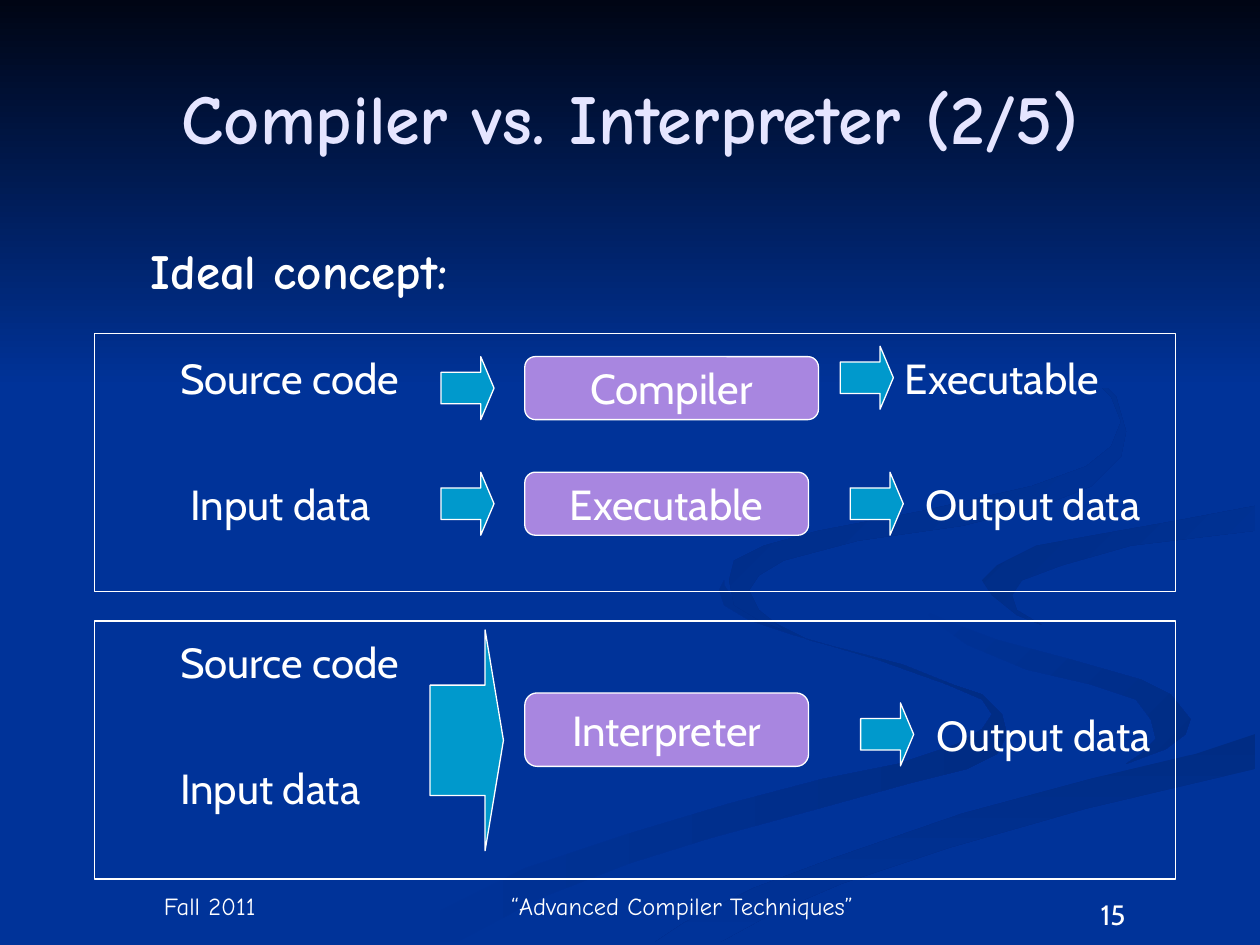
from pptx import Presentation
from pptx.dml.color import RGBColor
from pptx.enum.shapes import MSO_SHAPE
from pptx.enum.text import MSO_ANCHOR, PP_ALIGN
from pptx.util import Cm, Pt

LEFT, CENTER = PP_ALIGN.LEFT, PP_ALIGN.CENTER
TOP, MIDDLE, BOTTOM = MSO_ANCHOR.TOP, MSO_ANCHOR.MIDDLE, MSO_ANCHOR.BOTTOM
RECTANGLE = MSO_SHAPE.RECTANGLE
ROUNDED = MSO_SHAPE.ROUNDED_RECTANGLE
RIGHT_ARROW = MSO_SHAPE.RIGHT_ARROW

WHITE = RGBColor(0xFF, 0xFF, 0xFF)
LAVENDER = RGBColor(0xE5, 0xE5, 0xFF)
PURPLE = RGBColor(0xA8, 0x86, 0xE0)
CYAN = RGBColor(0x00, 0x99, 0xCC)
BLUE = RGBColor(0x00, 0x33, 0x99)
NIGHT = RGBColor(0x00, 0x05, 0x14)
SHADE = RGBColor(0x00, 0x2C, 0x84)

HAND_FONT, BODY_FONT = "Comic Neue", "Cabin"
TEXT_H = ARROW_H = 1.27
ARROW_W = 1.07

# Ribbon outlines in millimetres, each with its gradient colours and angle
RIBBONS = [
    (BLUE, SHADE, 0, [
        (198, 140), (192, 138), (182, 134), (163, 129), (153, 124), (148, 121),
        (146, 118), (146, 117), (145, 119), (146, 122), (151, 125), (160, 128),
        (177, 133), (191, 138), (198, 141), (200, 144), (198, 147), (193, 150),
        (181, 154), (166, 157), (147, 162), (127, 168), (106, 175), (86, 185),
        (76, 190), (92, 190), (109, 181), (127, 174), (143, 169), (165, 163),
        (183, 158), (195, 155), (201, 152), (203, 148), (202, 144)]),
    (BLUE, SHADE, 315, [
        (240, 145), (236, 140), (230, 137), (216, 133), (201, 129), (193, 126),
        (186, 123), (184, 118), (184, 120), (188, 125), (195, 130), (207, 135),
        (220, 138), (229, 141), (232, 145), (233, 149), (230, 152), (227, 154),
        (235, 151), (239, 148)]),
    (SHADE, BLUE, 270, [
        (132, 190), (128, 190), (145, 190), (156, 184), (170, 178), (191, 171),
        (219, 163), (253, 155), (253, 148), (241, 152), (220, 157), (194, 164),
        (168, 173), (152, 179), (138, 186)]),
    (SHADE, BLUE, 315, [
        (198, 117), (200, 120), (205, 124), (210, 126), (205, 123), (204, 120),
        (206, 117), (214, 114), (228, 110), (253, 107), (253, 102), (237, 105),
        (220, 108), (209, 110), (201, 114)]),
    (SHADE, BLUE, 315, [
        (173, 109), (194, 106), (210, 102), (220, 98), (226, 92), (227, 87),
        (225, 80), (219, 74), (209, 66), (194, 59), (210, 68), (218, 74),
        (224, 80), (226, 85), (224, 90), (219, 94), (208, 98), (186, 103),
        (165, 107), (154, 110), (148, 113), (147, 117), (148, 122), (153, 125),
        (158, 127), (153, 123), (151, 119), (153, 116), (158, 113)]),
]


def write(frame, text, size, font, color=WHITE, align=LEFT, anchor=TOP,
          bold=False, wrap=True):
    frame.word_wrap = wrap
    frame.vertical_anchor = anchor
    paragraph = frame.paragraphs[0]
    paragraph.alignment = align
    run = paragraph.add_run()
    run.text = text
    run.font.size = Pt(size)
    run.font.name = font
    run.font.bold = bold
    run.font.color.rgb = color


def add_text(slide, x, y, w, h, text, size=24, font=BODY_FONT, **style):
    label = slide.shapes.add_textbox(Cm(x), Cm(y), Cm(w), Cm(h))
    write(label.text_frame, text, size, font, **style)


def add_outlined(slide, kind, x, y, w, h, fill=None):
    shape = slide.shapes.add_shape(kind, Cm(x), Cm(y), Cm(w), Cm(h))
    shape.shadow.inherit = False
    if fill is None:
        shape.fill.background()
    else:
        shape.fill.solid()
        shape.fill.fore_color.rgb = fill
    shape.line.color.rgb = WHITE
    shape.line.width = Pt(0.75)
    return shape


def add_arrow(slide, x, y, w=ARROW_W, h=ARROW_H):
    arrow = add_outlined(slide, RIGHT_ARROW, x, y, w, h, CYAN)
    arrow.adjustments[1] = 0.25


def add_stage(slide, x, y, w, h, text):
    stage = add_outlined(slide, ROUNDED, x, y, w, h, PURPLE)
    write(stage.text_frame, text, 24, BODY_FONT, align=CENTER, anchor=MIDDLE,
          wrap=False)


def shade(shape, start, end, angle):
    shape.shadow.inherit = False
    shape.line.fill.background()
    shape.fill.gradient()
    shape.fill.gradient_angle = angle
    for stop, color in zip(shape.fill.gradient_stops, (start, end)):
        stop.color.rgb = color


def add_backdrop(slide, width, band_height):
    slide.background.fill.solid()
    slide.background.fill.fore_color.rgb = BLUE
    for start, end, angle, outline in RIBBONS:
        builder = slide.shapes.build_freeform(*outline[0], scale=Cm(0.1))
        builder.add_line_segments(outline[1:], close=True)
        shade(builder.convert_to_shape(), start, end, angle)
    band = slide.shapes.add_shape(RECTANGLE, 0, 0, width, Cm(band_height))
    shade(band, NIGHT, BLUE, 270)


def add_heading(slide, x, y, w, h):
    title = slide.shapes.title
    title.left, title.top, title.width, title.height = Cm(x), Cm(y), Cm(w), Cm(h)
    write(title.text_frame, "Compiler vs. Interpreter (2/5)", 40, HAND_FONT,
          LAVENDER, CENTER, MIDDLE, bold=True)
    # Bring the title in front of the backdrop
    slide.shapes._spTree.append(title._element)
    add_text(slide, x + 1.52, y + 3.96, 20, 1.4, "Ideal concept:", 28,
             HAND_FONT, bold=True)


def add_compiler_panel(slide, x, y, w, h):
    # Each row: offsets of input, stage, stage width, second arrow, output
    rows = [
        (0.25, "Source code", 1.48, 0.46, "Compiler", 5.92,
         15.04, 0.25, "Executable", 16.09),
        (2.79, "Input data", 1.69, 2.79, "Executable", 5.72,
         15.24, 2.79, "Output data", 16.51),
    ]
    for (text_y, source, source_x, stage_y, stage, stage_w,
         arrow_x, arrow_y, result, result_x) in rows:
        add_stage(slide, x + 8.68, y + stage_y, stage_w, TEXT_H, stage)
        add_text(slide, x + source_x, y + text_y, 5.5, TEXT_H, source)
        add_text(slide, x + result_x, y + text_y, 5.72, TEXT_H, result)
        add_arrow(slide, x + 6.99, y + stage_y)
        add_arrow(slide, x + arrow_x, y + arrow_y)
    add_outlined(slide, RECTANGLE, x, y, w, h)


def add_interpreter_panel(slide, x, y, w, h):
    add_stage(slide, x + 8.68, y + 1.45, 5.72, 1.48, "Interpreter")
    for source, offset in (("Source code", 0.18), ("Input data", 2.72)):
        add_text(slide, x + 1.48, y + offset, 5.5, TEXT_H, source)
    add_text(slide, x + 16.72, y + 1.65, 5.72, TEXT_H, "Output data")
    add_arrow(slide, x + 6.77, y + 0.18, 1.48, 4.45)
    add_arrow(slide, x + 15.45, y + 1.65)
    add_outlined(slide, RECTANGLE, x, y, w, h)


def add_footer(slide, x, y, h):
    add_text(slide, x, y, 5.92, h, "Fall 2011", 14, HAND_FONT,
             align=CENTER, anchor=BOTTOM)
    add_text(slide, x + 8.46, y, 8.05, h, "“Advanced Compiler Techniques”", 14,
             HAND_FONT, align=CENTER, anchor=BOTTOM)
    add_text(slide, x + 19.05, y + 0.18, 4.24, 1.02, "15", 16, align=CENTER)


def main():
    prs = Presentation()
    prs.slide_width, prs.slide_height = Cm(25.4), Cm(19.05)
    slide = prs.slides.add_slide(prs.slide_layouts[5])
    add_backdrop(slide, prs.slide_width, 7.82)
    add_heading(slide, 1.27, 0.76, 22.86, 3.18)
    add_compiler_panel(slide, 1.9, 6.73, 21.8, 5.2)
    add_interpreter_panel(slide, 1.9, 12.52, 21.8, 5.2)
    add_footer(slide, 1.27, 17.78, 0.9)
    prs.save("out.pptx")


if __name__ == "__main__":
    main()
